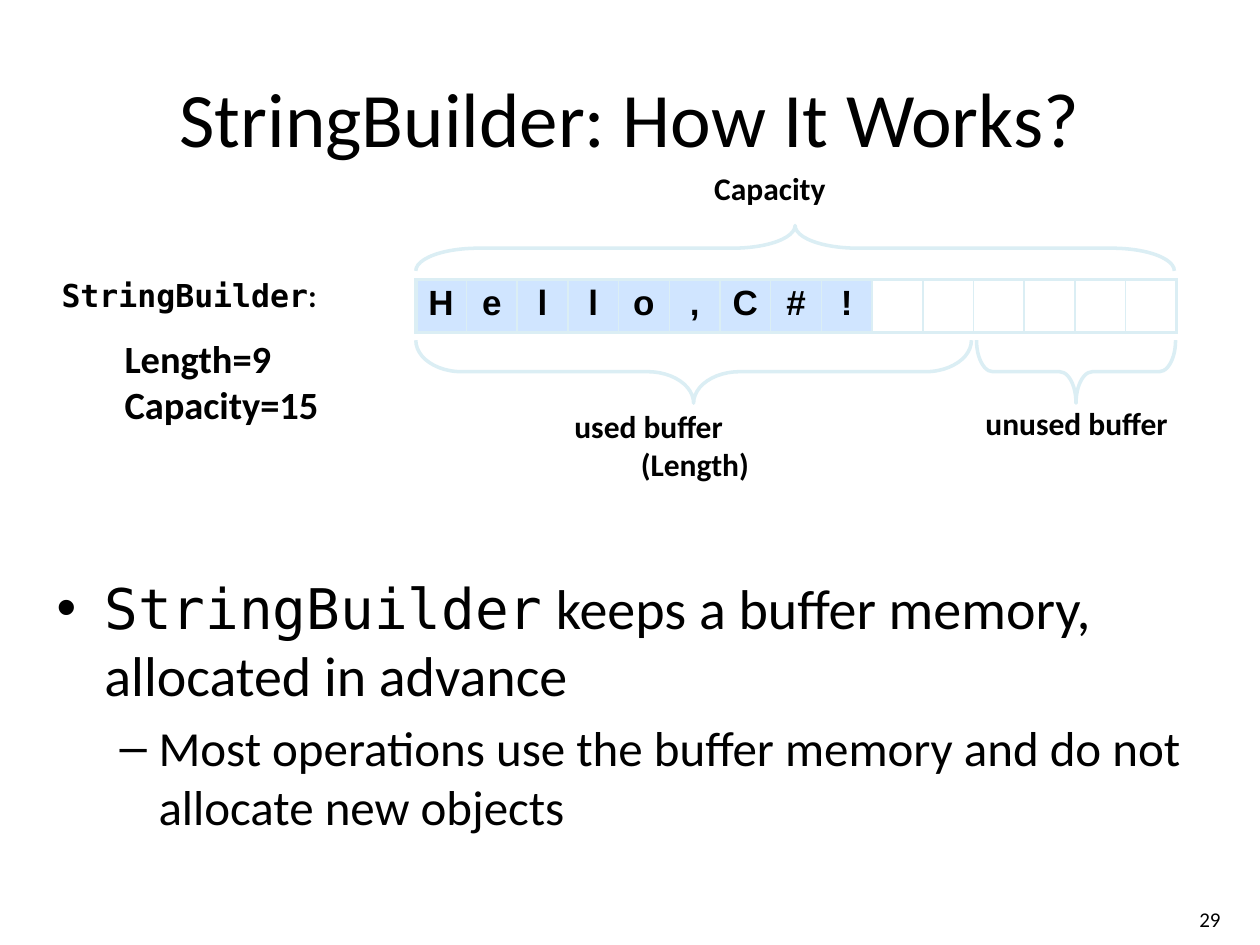
from dataclasses import dataclass

from lxml.etree import SubElement
from pptx import Presentation
from pptx.dml.color import RGBColor
from pptx.enum.shapes import MSO_SHAPE
from pptx.enum.text import MSO_ANCHOR, PP_ALIGN
from pptx.oxml.ns import qn
from pptx.util import Inches, Pt


@dataclass(frozen=True)
class Theme:
    text: RGBColor = RGBColor(0x00, 0x00, 0x00)
    line: RGBColor = RGBColor(0xDB, 0xEE, 0xF4)
    used: RGBColor = RGBColor(0xA3, 0xCD, 0xFF)
    body_font: str = "Calibri"
    code_font: str = "DejaVu Sans Mono"
    cell_font: str = "Arial"
    title: int = 44
    bullet: int = 32
    sub_bullet: int = 28
    state: int = 22
    cell: int = 20
    label: int = 18
    number: int = 12


THEME = Theme()
CONTENT = "Hello,C#!"
CAPACITY = 15
BUFFER_LEFT, BUFFER_WIDTH = 3.3, 6.04
USED_WIDTH = 4.43


def add_text_box(slide, box, wrap=True, anchor=MSO_ANCHOR.TOP):
    shape = slide.shapes.add_textbox(*map(Inches, box))
    text_frame = shape.text_frame
    text_frame.word_wrap = wrap
    text_frame.vertical_anchor = anchor
    return text_frame


def format_run(run, size, font=THEME.body_font, bold=False):
    run.font.size = Pt(size)
    run.font.name = font
    run.font.bold = bold
    run.font.color.rgb = THEME.text


def add_run(paragraph, text, size, font=THEME.body_font, bold=False):
    run = paragraph.add_run()
    run.text = text
    format_run(run, size, font, bold)


def set_indent(paragraph, left, first=0, bullet=None):
    properties = paragraph._p.get_or_add_pPr()
    properties.set("marL", str(Inches(left)))
    properties.set("indent", str(Inches(first)))
    if bullet:
        SubElement(properties, qn("a:buFont"), typeface="Arial")
        SubElement(properties, qn("a:buChar"), char=bullet)


def add_title(slide, box):
    paragraph = add_text_box(slide, box, anchor=MSO_ANCHOR.MIDDLE).paragraphs[0]
    paragraph.alignment = PP_ALIGN.CENTER
    add_run(paragraph, "StringBuilder: How It Works?", THEME.title)


def add_bullets(slide, box):
    text_frame = add_text_box(slide, box)
    main = text_frame.paragraphs[0]
    set_indent(main, 0.38, -0.38, "•")
    add_run(main, "StringBuilder", THEME.bullet, THEME.code_font)
    add_run(main, " keeps a buffer memory, allocated in advance", THEME.bullet)
    detail = text_frame.add_paragraph()
    detail.level = 1
    set_indent(detail, 0.81, -0.31, "–")
    detail.space_before = Pt(5.6)
    add_run(detail, "Most operations use the buffer memory and do not allocate new objects",
            THEME.sub_bullet)


def set_border(cell, side, width):
    line = SubElement(cell._tc.get_or_add_tcPr(), qn(f"a:ln{side}"), w=str(Pt(width)))
    fill = SubElement(line, qn("a:solidFill"))
    SubElement(fill, qn("a:srgbClr"), val=str(THEME.line))


def fill_half_transparent(cell, color):
    cell.fill.solid()
    cell.fill.fore_color.rgb = color
    color_element = cell._tc.tcPr.find(qn("a:solidFill")).find(qn("a:srgbClr"))
    SubElement(color_element, qn("a:alpha"), val="50000")


def add_buffer(slide, box):
    """One table row: a filled cell for each character, then the free cells."""
    table = slide.shapes.add_table(1, CAPACITY, *map(Inches, box)).table
    table.first_row = table.horz_banding = False
    for index, cell in enumerate(table.rows[0].cells):
        table.columns[index].width = Inches(box[2] / CAPACITY)
        cell.margin_left = cell.margin_right = Inches(0.02)
        set_border(cell, "L", 2.25 if index == 0 else 1)
        set_border(cell, "R", 2.25 if index == CAPACITY - 1 else 1)
        set_border(cell, "T", 2.25)
        set_border(cell, "B", 2.25)
        if index < len(CONTENT):
            fill_half_transparent(cell, THEME.used)
            paragraph = cell.text_frame.paragraphs[0]
            paragraph.alignment = PP_ALIGN.CENTER
            paragraph.line_spacing = 0.95
            add_run(paragraph, CONTENT[index], THEME.cell, THEME.cell_font, True)
        else:
            cell.fill.background()


def add_brace(slide, box, curve, rotation):
    """Lay a brace across the box: rotation 90 points up, 270 points down."""
    left, top, width, height = box
    shape = slide.shapes.add_shape(
        MSO_SHAPE.LEFT_BRACE,
        Inches(left + (width - height) / 2), Inches(top + (height - width) / 2),
        Inches(height), Inches(width))
    shape.rotation = rotation
    shape.adjustments[0] = curve
    shape.shadow.inherit = False
    shape.fill.background()
    shape.line.color.rgb = THEME.line
    shape.line.width = Pt(2)


def add_label(slide, box, lines, wrap=True):
    """Add bold lines, given as (text, alignment) pairs."""
    text_frame = add_text_box(slide, box, wrap)
    text_frame.text = "\n".join(text for text, _ in lines)
    for paragraph, (_, alignment) in zip(text_frame.paragraphs, lines):
        paragraph.alignment = alignment
        format_run(paragraph.runs[0], THEME.label, bold=True)


def add_state(slide, box):
    text_frame = add_text_box(slide, box, wrap=False)
    heading = text_frame.paragraphs[0]
    add_run(heading, "StringBuilder", THEME.label, THEME.code_font, True)
    add_run(heading, ":", THEME.label, bold=True)
    for text, space in ((f"Length={len(CONTENT)}", 12), (f"Capacity={CAPACITY}", 0)):
        paragraph = text_frame.add_paragraph()
        paragraph.level = 1
        set_indent(paragraph, 0.5)
        paragraph.space_before = Pt(space)
        add_run(paragraph, text, THEME.state, bold=True)


def add_diagram(slide, left, width):
    add_buffer(slide, (left, 2.22, width, 0.42))
    add_brace(slide, (left, 2.7, USED_WIDTH - 0.02, 0.5), 0.73, 270)
    add_brace(slide, (left + USED_WIDTH + 0.02, 2.7, 1.58, 0.5), 0.26, 270)
    add_brace(slide, (left, 1.79, width - 0.02, 0.36), 1.38, 90)
    add_label(slide, (5.57, 1.29, 1.09, 0.4), [("Capacity", PP_ALIGN.LEFT)], wrap=False)
    add_label(slide, (4.46, 3.18, 2.11, 0.71),
              [("used buffer", PP_ALIGN.LEFT), ("(Length)", PP_ALIGN.CENTER)])
    add_label(slide, (7.71, 3.16, 1.67, 0.4), [("unused buffer", PP_ALIGN.CENTER)])


def add_slide_number(slide, box):
    text_frame = add_text_box(slide, box, anchor=MSO_ANCHOR.MIDDLE)
    add_run(text_frame.paragraphs[0], "29", THEME.number)


def main():
    presentation = Presentation()
    presentation.slide_width, presentation.slide_height = Inches(10), Inches(7.5)
    slide = presentation.slides.add_slide(presentation.slide_layouts[6])
    add_title(slide, (0.5, 0.3, 9, 1.25))
    add_bullets(slide, (0.35, 4.5, 9.29, 2.72))
    add_diagram(slide, BUFFER_LEFT, BUFFER_WIDTH)
    add_state(slide, (0.39, 2.14, 2.26, 1.31))
    add_slide_number(slide, (9.42, 7.17, 0.5, 0.25))
    presentation.save("out.pptx")


if __name__ == "__main__":
    main()
